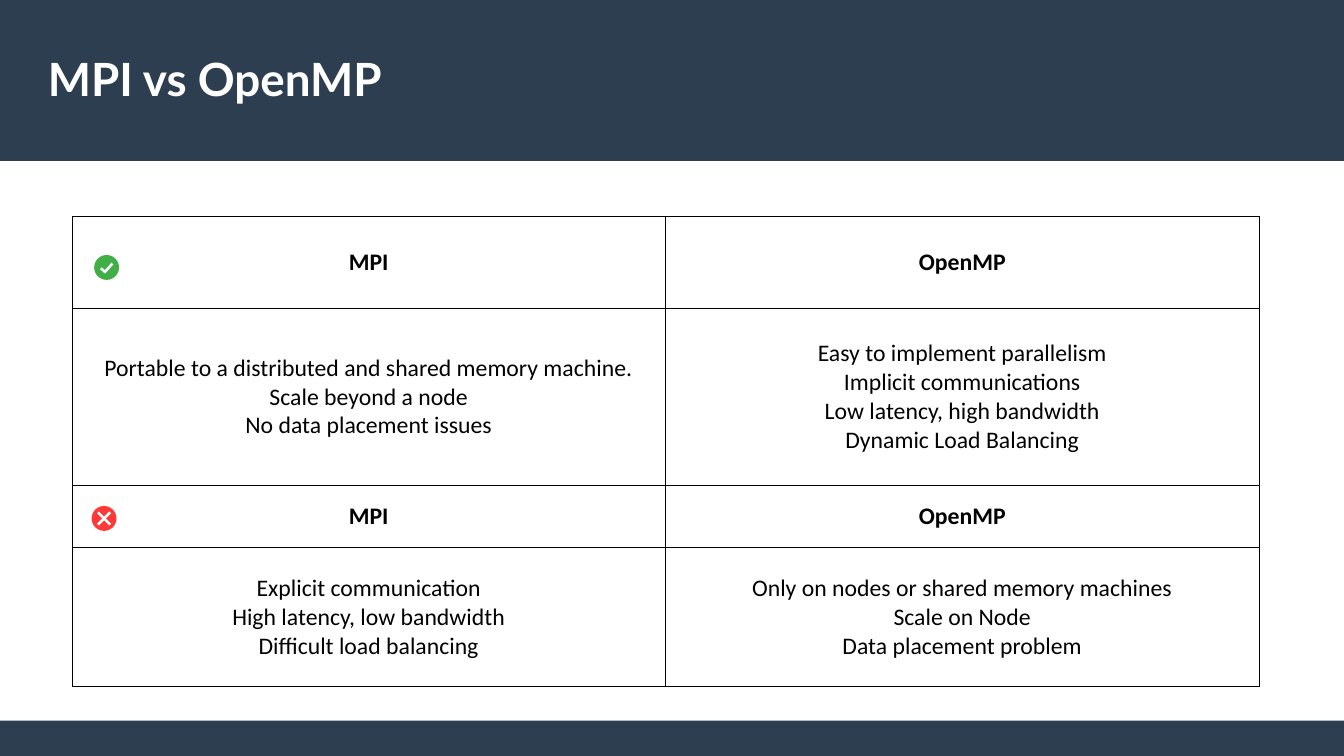
from dataclasses import dataclass

import pptx
import pptx.dml.color
import pptx.enum.shapes
import pptx.enum.text
import pptx.oxml
import pptx.oxml.ns
import pptx.util

Pt = pptx.util.Pt
SHAPE = pptx.enum.shapes.MSO_SHAPE
ALIGN = pptx.enum.text.PP_ALIGN
ANCHOR = pptx.enum.text.MSO_ANCHOR


@dataclass(frozen=True)
class Theme:
    navy: str = "2C3E50"
    white: str = "FFFFFF"
    black: str = "000000"
    good: str = "3FAF46"
    bad: str = "FF3838"
    title_font: str = "Lato"
    body_font: str = "Calibri"
    title_size: float = 27
    body_size: float = 14
    border: float = 0.06
    badge_line: float = 0.79
    mark_line: float = 1.5


THEME = Theme()
SLIDE_W, SLIDE_H = 793.44, 446.4
ROW_HEIGHTS = [54.72, 104.4, 36.72, 82.08]
HEADINGS = ["MPI", "OpenMP"]
ADVANTAGES = [
    ["Portable to a distributed and shared memory machine.",
     "Scale beyond a node",
     "No data placement issues"],
    ["Easy to implement parallelism",
     "Implicit communications",
     "Low latency, high bandwidth",
     "Dynamic Load Balancing"],
]
DRAWBACKS = [
    ["Explicit communication",
     "High latency, low bandwidth",
     "Difficult load balancing"],
    ["Only on nodes or shared memory machines",
     "Scale on Node",
     "Data placement problem"],
]


def rgb(color):
    return pptx.dml.color.RGBColor.from_string(color)


def paint(shape, color):
    shape.shadow.inherit = False
    shape.fill.solid()
    shape.fill.fore_color.rgb = rgb(color)


def style_text(frame, font, size, color, bold, align):
    for paragraph in frame.paragraphs:
        paragraph.alignment = align
        for run in paragraph.runs:
            run.font.name = font
            run.font.size = Pt(size)
            run.font.bold = bold
            run.font.color.rgb = rgb(color)


def add_band(slide, top, height):
    band = slide.shapes.add_shape(
        SHAPE.RECTANGLE, 0, Pt(top), Pt(SLIDE_W), Pt(height))
    paint(band, THEME.navy)
    band.line.fill.background()


def add_title(slide, left, top, width, height):
    """Fill the title placeholder and bring it in front of the bands."""
    title = slide.shapes.title
    title.left, title.top = Pt(left), Pt(top)
    title.width, title.height = Pt(width), Pt(height)
    frame = title.text_frame
    frame.text = "MPI vs OpenMP"
    frame.auto_size = pptx.enum.text.MSO_AUTO_SIZE.NONE
    frame.vertical_anchor = ANCHOR.MIDDLE
    frame.margin_left = frame.margin_right = 0
    frame.margin_top = frame.margin_bottom = 0
    style_text(frame, THEME.title_font, THEME.title_size, THEME.white,
               True, ALIGN.LEFT)
    title.element.getparent().append(title.element)


def set_borders(cell):
    properties = cell._tc.get_or_add_tcPr()
    for side in ("lnL", "lnR", "lnT", "lnB"):
        properties.append(pptx.oxml.parse_xml(
            f'<a:{side} {pptx.oxml.ns.nsdecls("a")} w="{Pt(THEME.border)}">'
            f'<a:solidFill><a:srgbClr val="{THEME.black}"/></a:solidFill>'
            f'</a:{side}>'))


def add_comparison(slide, left, top, width):
    rows = [[[name] for name in HEADINGS], ADVANTAGES,
            [[name] for name in HEADINGS], DRAWBACKS]
    comparison = slide.shapes.add_table(
        len(rows), len(HEADINGS), Pt(left), Pt(top), Pt(width),
        Pt(sum(ROW_HEIGHTS))).table
    comparison.first_row = comparison.horz_banding = False
    for column in comparison.columns:
        column.width = Pt(width / len(HEADINGS))
    for r, (points_by_model, height) in enumerate(zip(rows, ROW_HEIGHTS)):
        comparison.rows[r].height = Pt(height)
        for c, points in enumerate(points_by_model):
            cell = comparison.cell(r, c)
            set_borders(cell)
            cell.fill.solid()
            cell.fill.fore_color.rgb = rgb(THEME.white)
            cell.vertical_anchor = ANCHOR.MIDDLE
            cell.text_frame.text = "\n".join(points)
            style_text(cell.text_frame, THEME.body_font, THEME.body_size,
                       THEME.black, r % 2 == 0, ALIGN.CENTER)


def draw_mark_line(mark):
    mark.line.color.rgb = rgb(THEME.white)
    mark.line.width = Pt(THEME.mark_line)


def add_disc(badge, left, top, size, color):
    disc = badge.shapes.add_shape(
        SHAPE.OVAL, Pt(left), Pt(top), Pt(size), Pt(size))
    paint(disc, color)
    disc.line.color.rgb = rgb(color)
    disc.line.width = Pt(THEME.badge_line)


def add_check_badge(slide, left, top, size):
    badge = slide.shapes.add_group_shape()
    add_disc(badge, left, top, size, THEME.good)
    corners = [(Pt(left + size * x), Pt(top + size * y))
               for x, y in ((0.26, 0.53), (0.43, 0.69), (0.75, 0.33))]
    outline = badge.shapes.build_freeform(*corners[0])
    outline.add_line_segments(corners[1:], close=False)
    check = outline.convert_to_shape()
    check.shadow.inherit = False
    check.fill.background()
    draw_mark_line(check)


def add_cross_badge(slide, left, top, size):
    badge = slide.shapes.add_group_shape()
    add_disc(badge, left, top, size, THEME.bad)
    near, far = size * 0.24, size * 0.76
    for start, end in ((near, far), (far, near)):
        stroke = badge.shapes.add_connector(
            pptx.enum.shapes.MSO_CONNECTOR.STRAIGHT,
            Pt(left + near), Pt(top + start), Pt(left + far), Pt(top + end))
        draw_mark_line(stroke)
        stroke.element.spPr.append(pptx.oxml.parse_xml(
            f'<a:effectLst {pptx.oxml.ns.nsdecls("a")}/>'))


def main():
    deck = pptx.Presentation()
    deck.slide_width, deck.slide_height = Pt(SLIDE_W), Pt(SLIDE_H)
    slide = deck.slides.add_slide(deck.slide_layouts[5])
    add_band(slide, 425.5, SLIDE_H - 425.5)
    add_band(slide, 0, 95)
    add_title(slide, 28.3, 18, 736.5, 56)
    add_comparison(slide, 42.5, 127.5, 700.8)
    add_check_badge(slide, 56, 151, 13.9)
    add_cross_badge(slide, 54.5, 299.2, 13.9)
    deck.save("out.pptx")


if __name__ == "__main__":
    main()
